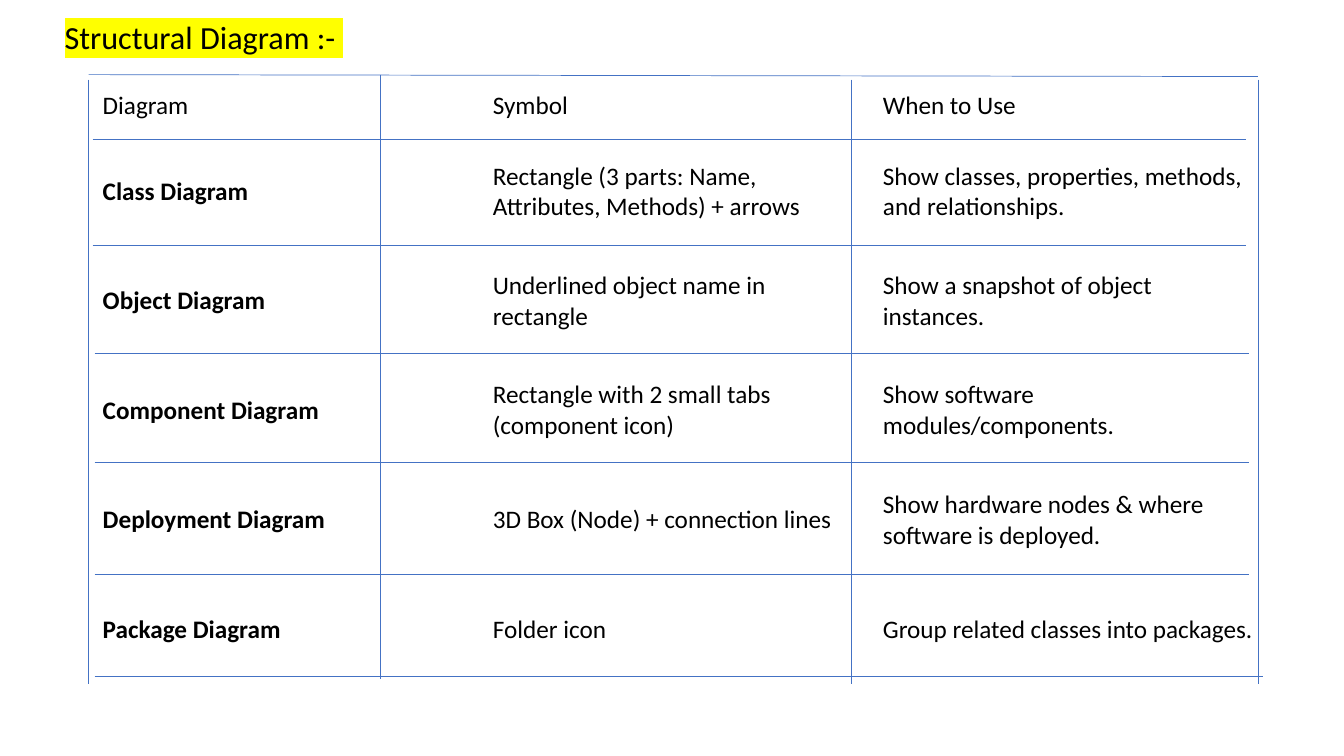
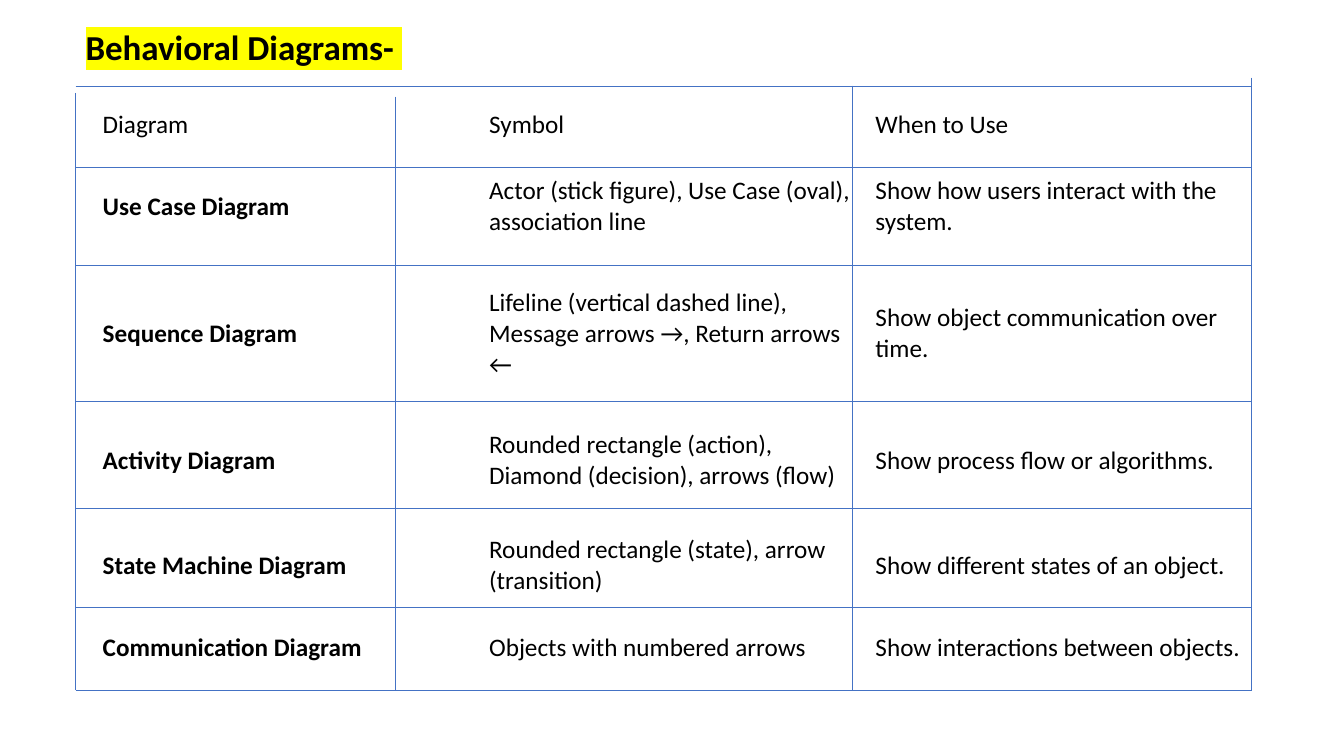
"""Build two slides that sum up structural and behavioral diagrams."""
import dataclasses

import lxml.etree
import pptx
import pptx.dml.color
import pptx.enum.shapes
import pptx.enum.text
import pptx.oxml.ns
import pptx.util

Pt = pptx.util.Pt
qn = pptx.oxml.ns.qn


@dataclasses.dataclass(frozen=True)
class Theme:
    """Colours, font and sizes that the slides share."""
    font: str = "Calibri"
    ink: str = "000000"
    rule: str = "4472C4"
    mark: str = "FFFF00"
    body: float = 18
    thin: float = 0.5
    plain: str = "{2D5ABB26-0587-4C30-8999-92F81FD0307C}"


THEME = Theme()
HEAD = ("Diagram", "Symbol", "When to Use")


def hue(code):
    """Turn a hex code into a colour."""
    return pptx.dml.color.RGBColor.from_string(code)


def style(run, size, bold=False):
    """Give a run the shared font."""
    font = run.font
    font.name, font.size, font.bold = THEME.font, Pt(size), bold
    font.color.rgb = hue(THEME.ink)


def title(slide, box, text, size, bold):
    """Place a highlighted title in the box."""
    frame = slide.shapes.add_textbox(*map(Pt, box)).text_frame
    frame.word_wrap = True
    frame.text = text
    run = frame.paragraphs[0].runs[0]
    style(run, size, bold)
    mark = lxml.etree.Element(qn("a:highlight"))
    lxml.etree.SubElement(mark, qn("a:srgbClr"), val=THEME.mark)
    run.font._element.find(qn("a:solidFill")).addnext(mark)


def table(slide, box, rows, highs):
    """Fill the box with a borderless table of equal columns."""
    cells = [HEAD, *rows]
    shape = slide.shapes.add_table(len(cells), len(HEAD), *map(Pt, box))
    grid = shape.table
    grid.first_row = grid.horz_banding = False
    grid._tbl.tblPr.find(qn("a:tableStyleId")).text = THEME.plain
    for col in grid.columns:
        col.width = Pt(box[2] / len(HEAD))
    for row, high, texts in zip(grid.rows, highs, cells):
        row.height = Pt(high)
        for num, (cell, text) in enumerate(zip(row.cells, texts)):
            cell.text = text
            cell.fill.background()
            cell.vertical_anchor = pptx.enum.text.MSO_ANCHOR.MIDDLE
            bold = num == 0 and texts is not HEAD
            style(cell.text_frame.paragraphs[0].runs[0], THEME.body, bold)


def rules(slide, box, lines):
    """Draw thin lines, each given from the corner of the box."""
    left, top = box[:2]
    for x1, y1, x2, y2 in lines:
        line = slide.shapes.add_connector(
            pptx.enum.shapes.MSO_CONNECTOR.STRAIGHT,
            Pt(left + x1), Pt(top + y1), Pt(left + x2), Pt(top + y2))
        line.line.color.rgb = hue(THEME.rule)
        line.line.width = Pt(THEME.thin)
        lxml.etree.SubElement(line._element.spPr, qn("a:effectLst"))


def across(left, right, *tops):
    """List level lines that share their ends."""
    return [(left, y, right, y) for y in tops]


def down(top, foot, *lefts):
    """List upright lines that share their ends."""
    return [(x, top, x, foot) for x in lefts]


def page(deck, name, box, rows, highs, lines):
    """Add a slide with a title, a table and its ruled lines."""
    slide = deck.slides.add_slide(deck.slide_layouts[6])
    table(slide, box, rows, highs)
    title(slide, *name)
    rules(slide, box, lines)


def main():
    """Build and save the deck."""
    deck = pptx.Presentation()
    deck.slide_width, deck.slide_height = Pt(960), Pt(540)
    page(
        deck,
        ((39, 8.6, 363.6, 35.3), "Structural Diagram :- ", 23, False),
        (66.2, 53.3, 836, 435.6),
        [
            ("Class Diagram",
             "Rectangle (3 parts: Name, Attributes, Methods) + arrows",
             "Show classes, properties, methods, and relationships."),
            ("Object Diagram", "Underlined object name in rectangle",
             "Show a snapshot of object instances."),
            ("Component Diagram",
             "Rectangle with 2 small tabs (component icon)",
             "Show software modules/components."),
            ("Deployment Diagram", "3D Box (Node) + connection lines",
             "Show hardware nodes & where software is deployed."),
            ("Package Diagram", "Folder icon",
             "Group related classes into packages."),
        ],
        [44.6] + [78.2] * 5,
        [(-2.9, 0, 832.3, 1.4)]
        + across(0, 823.7, 46.1, 121.7)
        + across(1.4, 825.8, 199.4, 277.2, 357.1)
        + across(1.4, 836, 429.8)
        + down(0, 432, 205.2)
        + down(3.6, 435.6, -2.9, 542.2, 832.3),
    )
    page(
        deck,
        ((54, 14.4, 414, 37.4), "Behavioral Diagrams- ", 25, True),
        (66.2, 67.7, 828, 416),
        [
            ("Use Case Diagram",
             "Actor (stick figure), Use Case (oval), association line",
             "Show how users interact with the system."),
            ("Sequence Diagram",
             "Lifeline (vertical dashed line), Message arrows →, "
             "Return arrows ←",
             "Show object communication over time."),
            ("Activity Diagram",
             "Rounded rectangle (action), Diamond (decision), arrows (flow)",
             "Show process flow or algorithms."),
            ("State Machine Diagram",
             "Rounded rectangle (state), arrow (transition)",
             "Show different states of an object."),
            ("Communication Diagram", "Objects with numbered arrows",
             "Show interactions between objects."),
        ],
        [42.5, 74.9, 106.6, 74.9, 74.9, 42.5],
        across(-12.2, 828, -5.8, 51.8, 121.7, 218.9, 295.2, 366.5, 425.5)
        + down(1.4, 425.5, 216)
        + down(-6.5, 425.5, 542.9)
        + down(-1.4, 425.5, -12.2)
        + down(-12.2, 425.5, 828),
    )
    deck.save("out.pptx")


if __name__ == "__main__":
    main()
